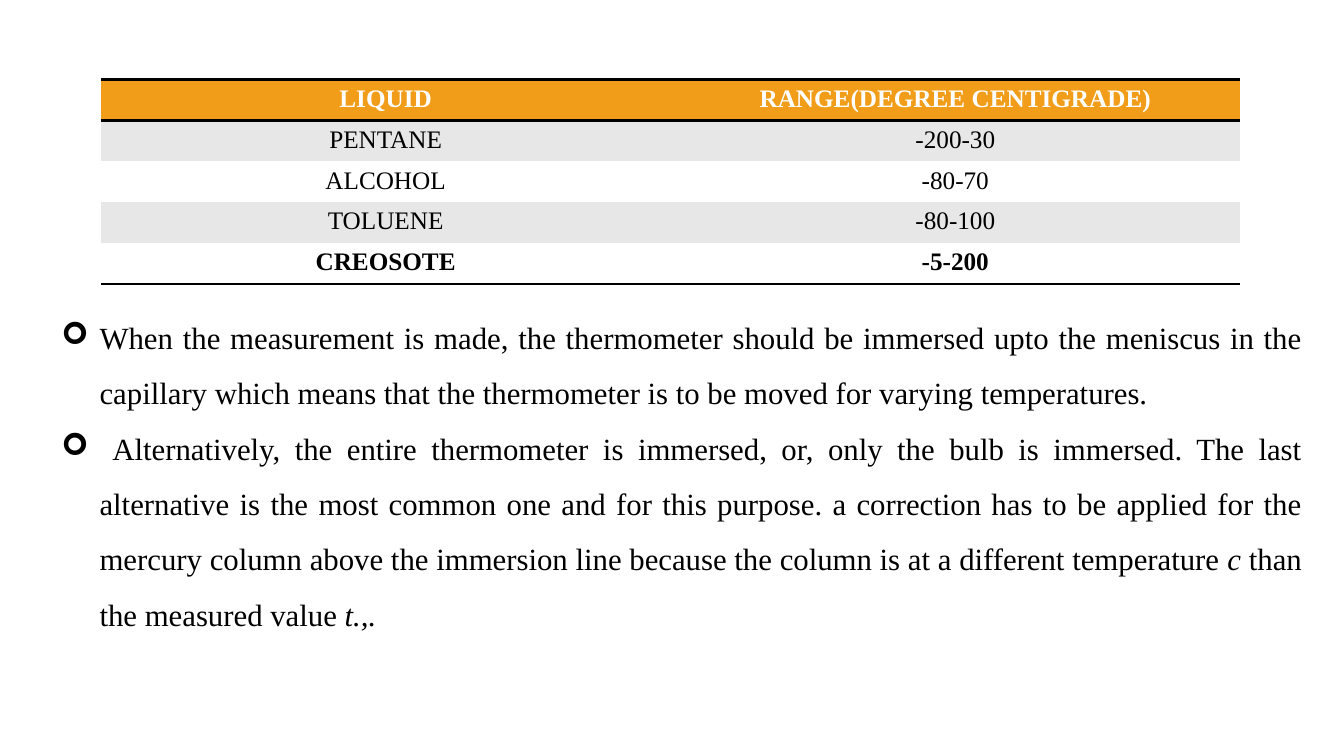
"""Build a slide on thermometer liquids, their ranges and immersion."""
from dataclasses import dataclass

from lxml import etree
from pptx import Presentation
from pptx.dml.color import RGBColor
from pptx.enum.text import MSO_ANCHOR, MSO_AUTO_SIZE, PP_ALIGN
from pptx.oxml.ns import qn
from pptx.util import Inches, Pt


@dataclass(frozen=True)
class Theme:
    font: str = "Times New Roman"
    ink: str = "000000"
    header_ink: str = "FFFFFF"
    header_fill: str = "F19D19"
    band_fill: str = "E7E7E7"
    plain_fill: str = "FFFFFF"
    table_size: int = 18
    body_size: int = 22
    rule_width: int = 2


theme = Theme()


def style_run(run, size, color, bold=False, italic=False):
    run.font.name = theme.font
    run.font.size = Pt(size)
    run.font.color.rgb = RGBColor.from_string(color)
    run.font.bold = bold
    run.font.italic = italic


def add_rule(cell, side, position):
    rule = etree.Element(qn(f"a:{side}"), w=str(Pt(theme.rule_width)))
    fill = etree.SubElement(rule, qn("a:solidFill"))
    etree.SubElement(fill, qn("a:srgbClr"), val=theme.ink)
    cell._tc.get_or_add_tcPr().insert(position, rule)


prs = Presentation()
prs.slide_width = Inches(13.33)
prs.slide_height = Inches(7.5)
slide = prs.slides.add_slide(prs.slide_layouts[6])

notes_on_use = [
    [("When the measurement is made, the thermometer should be immersed upto the "
      "meniscus in the capillary which means that the thermometer is to be moved "
      "for varying temperatures.", False)],
    [(" Alternatively, the entire thermometer is immersed, or, only the bulb is "
      "immersed. The last alternative is the most common one and for this purpose. "
      "a correction has to be applied for the mercury column above the immersion "
      "line because the column is at a different temperature ", False),
     ("c ", True), ("than the measured value ", False), ("t.,.", True)],
]
immersion = slide.shapes.add_textbox(
    Inches(0.51), Inches(2.58), Inches(12.5), Inches(4.29)).text_frame
immersion.word_wrap = True
immersion.auto_size = MSO_AUTO_SIZE.SHAPE_TO_FIT_TEXT
immersion.vertical_anchor = MSO_ANCHOR.MIDDLE
immersion.margin_top = Inches(0.4)
immersion.margin_bottom = Inches(0.6)

for index, passages in enumerate(notes_on_use):
    point = immersion.add_paragraph() if index else immersion.paragraphs[0]
    point.alignment = PP_ALIGN.JUSTIFY
    point.line_spacing = 1.5
    properties = point._p.get_or_add_pPr()
    properties.set("marL", str(Inches(0.38)))
    properties.set("indent", str(-Inches(0.38)))
    etree.SubElement(properties, qn("a:buFont"), typeface="Wingdings")
    etree.SubElement(properties, qn("a:buChar"), char="➢")
    for words, italic in passages:
        run = point.add_run()
        run.text = words
        style_run(run, theme.body_size, theme.ink, italic=italic)

ranges = [
    ("LIQUID", "RANGE(DEGREE CENTIGRADE)"),
    ("PENTANE", "-200-30"),
    ("ALCOHOL", "-80-70"),
    ("TOLUENE", "-80-100"),
    ("CREOSOTE", "-5-200"),
]
last = len(ranges) - 1
range_frame = slide.shapes.add_table(
    len(ranges), 2, Inches(1), Inches(0.79), Inches(11.3), Inches(2.03))
range_table = range_frame.table
style_id = next(range_frame._element.iter(qn("a:tableStyleId")))
style_id.text = "{2D5ABB26-0587-4C30-8999-92F81FD0307C}"

for row, entries in enumerate(ranges):
    header = row == 0
    band = theme.band_fill if row % 2 else theme.plain_fill
    for column, entry in enumerate(entries):
        cell = range_table.cell(row, column)
        cell.text_frame.text = entry
        label = cell.text_frame.paragraphs[0]
        label.alignment = PP_ALIGN.CENTER
        style_run(label.runs[0], theme.table_size,
                  theme.header_ink if header else theme.ink,
                  bold=row in (0, last))
        cell.fill.solid()
        cell.fill.fore_color.rgb = RGBColor.from_string(
            theme.header_fill if header else band)
        if header:
            add_rule(cell, "lnT", 0)
        if row in (0, last):
            add_rule(cell, "lnB", int(header))

prs.save("out.pptx")
